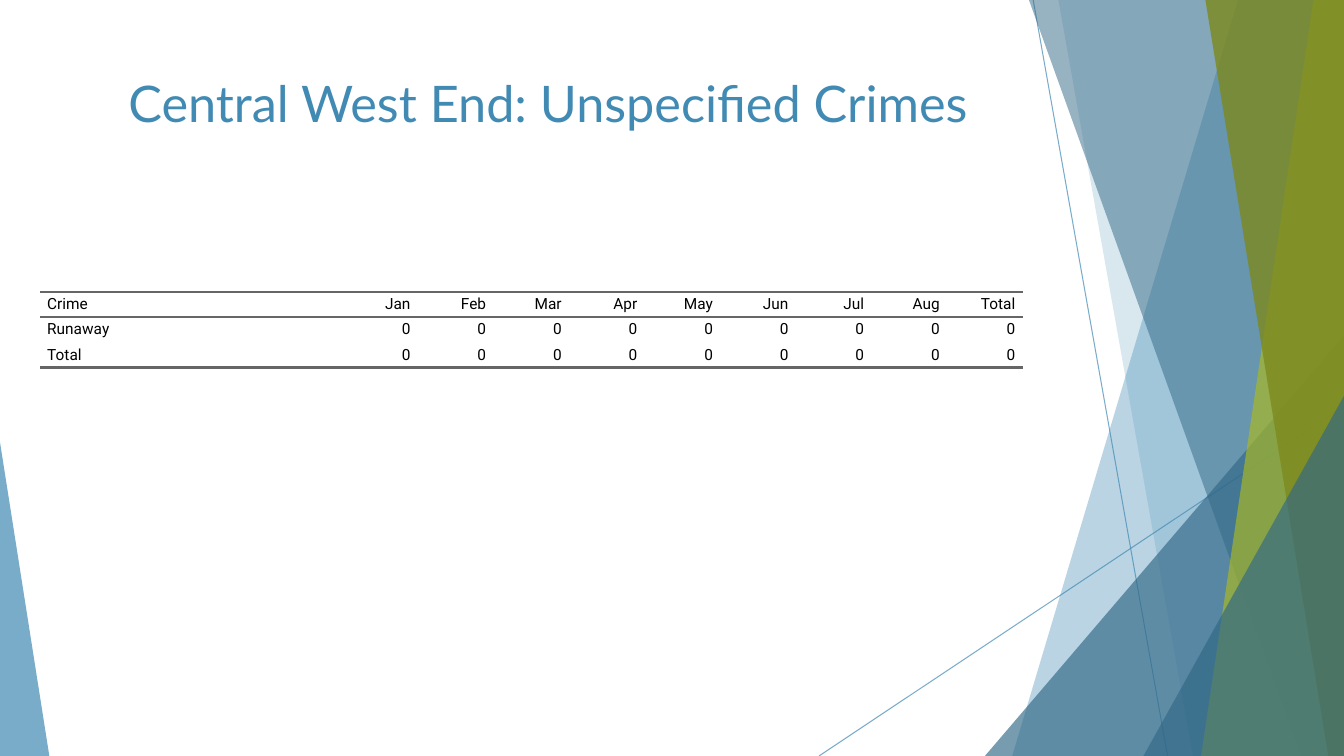
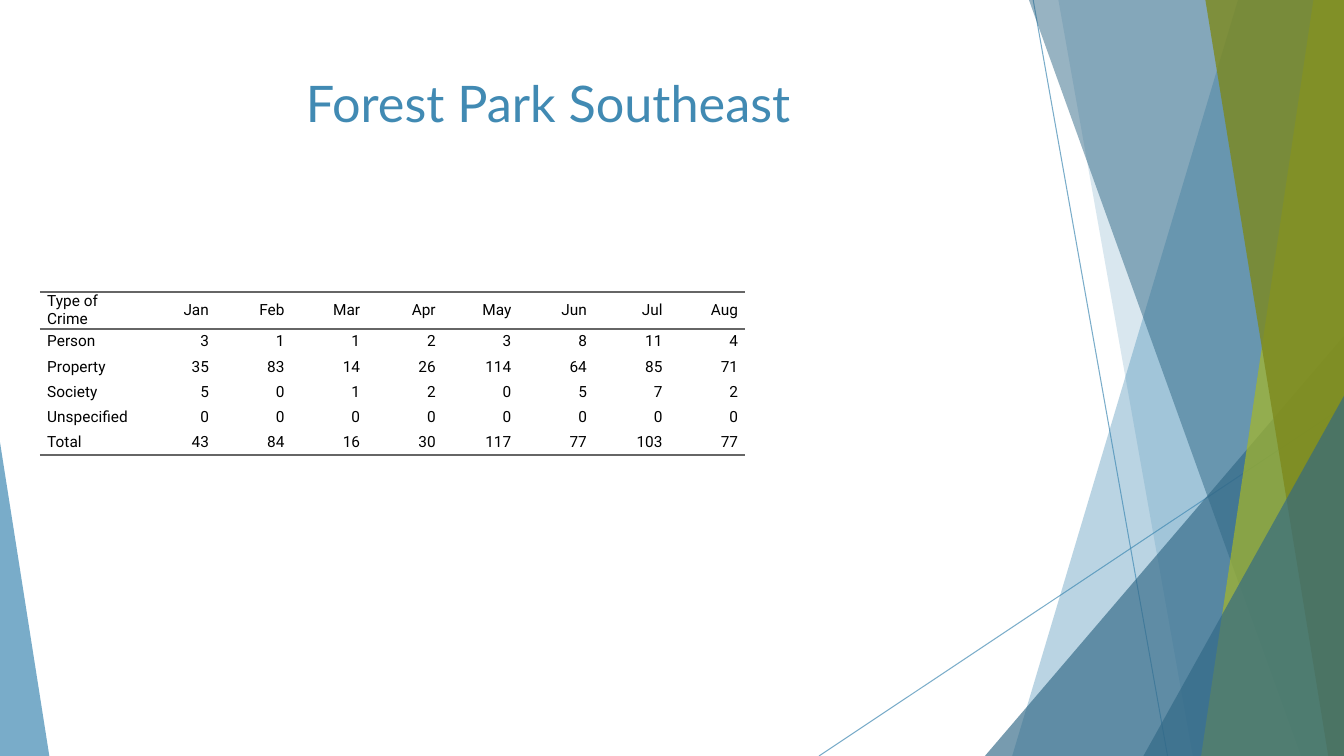
from dataclasses import dataclass

from lxml import etree
from pptx import Presentation
from pptx import util as u
from pptx.dml.color import RGBColor
from pptx.enum import shapes, text
from pptx.oxml.ns import qn

PX = 9525
WIDE, HIGH = 1280, 720
MONTHS = ["Jan", "Feb", "Mar", "Apr", "May", "Jun", "Jul", "Aug"]


@dataclass(frozen=True)
class Theme:
    blue: str = "418AB3"
    navy: str = "316886"
    lime: str = "A6B727"
    olive: str = "7D891D"
    rule: str = "666666"
    ink: str = "000000"
    head_font: str = "Lato"
    body_font: str = "Roboto"
    head_size: int = 36
    body_size: int = 11
    thin: float = 0.75
    thick: float = 2


def px(num):
    return u.Emu(num * PX)


def fade(shape, alpha):
    """Give every plain colour of the shape an opacity in percent."""
    for tone in shape.element.iter(qn("a:srgbClr")):
        etree.SubElement(tone, qn("a:alpha"), val=str(alpha * 1000))


class Deck:
    """Holds the theme, the file and the slide being drawn."""

    def __init__(self, theme):
        self.theme = theme
        self.file = Presentation()
        self.file.slide_width, self.file.slide_height = px(WIDE), px(HIGH)
        self.items = None

    def slide(self, title):
        blank = self.file.slide_layouts[6]
        self.items = self.file.slides.add_slide(blank).shapes
        self.frame()
        self.title(title)

    def frame(self):
        """Draw the translucent facets around the page."""
        look = self.theme
        self.line(984, 0, 1112, HIGH)
        self.line(WIDE, 387, 780, HIGH)
        self.band(1179, 964, look.blue, 36)
        self.band(1008, 1136, look.blue, 20)
        self.wedge(938, 320, 342, 1, look.navy, 66)
        self.band(980, 1239, look.navy, 50)
        self.band(1251, 1144, look.lime, 70)
        self.band(1148, 1265, look.olive, 80)
        self.wedge(1089, 377, 191, 1, look.navy, 66)
        self.wedge(0, 421, 47, 0, look.blue, 70)

    def line(self, x1, y1, x2, y2):
        line = self.items.add_connector(
            shapes.MSO_CONNECTOR.STRAIGHT, px(x1), px(y1), px(x2), px(y2))
        line.line.color.rgb = RGBColor.from_string(self.theme.blue)
        line.line.width = u.Pt(self.theme.thin)
        fade(line, 70)
        etree.SubElement(line.element.spPr, qn("a:effectLst"))

    def paint(self, shape, color, alpha):
        shape.shadow.inherit = False
        shape.fill.solid()
        shape.fill.fore_color.rgb = RGBColor.from_string(color)
        shape.line.fill.background()
        fade(shape, alpha)

    def band(self, top, foot, color, alpha):
        """Fill from a slanted left edge to the right side of the slide."""
        pen = self.items.build_freeform(top, 0, scale=PX)
        pen.add_line_segments([(WIDE, 0), (WIDE, HIGH), (foot, HIGH)])
        self.paint(pen.convert_to_shape(), color, alpha)

    def wedge(self, x, y, wide, apex, color, alpha):
        """Stand a triangle on the foot of the slide, apex 0 left or 1 right."""
        shape = self.items.add_shape(
            shapes.MSO_SHAPE.ISOSCELES_TRIANGLE,
            px(x), px(y), px(wide), px(HIGH - y))
        shape.adjustments[0] = apex
        self.paint(shape, color, alpha)

    def style(self, para, font, size, color, align):
        para.alignment = align
        for run in para.runs:
            run.font.name, run.font.size = font, u.Pt(size)
            run.font.color.rgb = RGBColor.from_string(color)

    def title(self, words):
        look = self.theme
        box = self.items.add_textbox(px(71), px(64), px(902), px(138))
        frame = box.text_frame
        frame.word_wrap = True
        frame.text = words
        self.style(frame.paragraphs[0], look.head_font, look.head_size,
                   look.blue, text.PP_ALIGN.CENTER)

    def edge(self, cell, side, ruled):
        props = cell._tc.get_or_add_tcPr()
        width = u.Pt(self.theme.thick) if ruled else 0
        line = etree.SubElement(props, qn("a:ln" + side), w=str(width))
        if ruled:
            fill = etree.SubElement(line, qn("a:solidFill"))
            etree.SubElement(fill, qn("a:srgbClr"), val=self.theme.rule)
        else:
            etree.SubElement(line, qn("a:noFill"))

    def cell(self, cell, words, align):
        look = self.theme
        cell.text = words
        cell.vertical_anchor = text.MSO_ANCHOR.MIDDLE
        cell.margin_left = cell.margin_right = px(7)
        cell.margin_top = cell.margin_bottom = 0
        self.style(cell.text_frame.paragraphs[0], look.body_font,
                   look.body_size, look.ink, align)

    def table(self, rows, first):
        """Draw rows with rules round the header and below the last row."""
        step, tall = 72, 24
        count, cols = len(rows), len(rows[0])
        table = self.items.add_table(
            count, cols, px(38), px(278),
            px(first + step * (cols - 1)), px(tall * count)).table
        table.first_row = table.horz_banding = False
        for c, col in enumerate(table.columns):
            col.width = px(step if c else first)
        ruled = {0, 1, count}
        for r, row in enumerate(rows):
            table.rows[r].height = px(tall)
            for c, words in enumerate(row):
                cell = table.cell(r, c)
                side = text.PP_ALIGN.RIGHT if c else text.PP_ALIGN.LEFT
                self.cell(cell, words, side)
                self.edge(cell, "L", False)
                self.edge(cell, "R", False)
                self.edge(cell, "T", r in ruled)
                self.edge(cell, "B", r + 1 in ruled)
                cell.fill.background()


def main():
    deck = Deck(Theme())

    deck.slide("Central West End: Unspecified Crimes")
    zeros = ["0"] * 9
    deck.table([
        ["Crime", *MONTHS, "Total"],
        ["Runaway", *zeros],
        ["Total", *zeros],
    ], 288)

    deck.slide("Forest Park Southeast")
    counts = {
        "Person": [3, 1, 1, 2, 3, 8, 11, 4],
        "Property": [35, 83, 14, 26, 114, 64, 85, 71],
        "Society": [5, 0, 1, 2, 0, 5, 7, 2],
        "Unspecified": [0] * 8,
    }
    counts["Total"] = [sum(month) for month in zip(*counts.values())]
    body = [[kind, *map(str, nums)] for kind, nums in counts.items()]
    deck.table([["Type of Crime", *MONTHS], *body], 96)

    deck.file.save("out.pptx")


if __name__ == "__main__":
    main()
